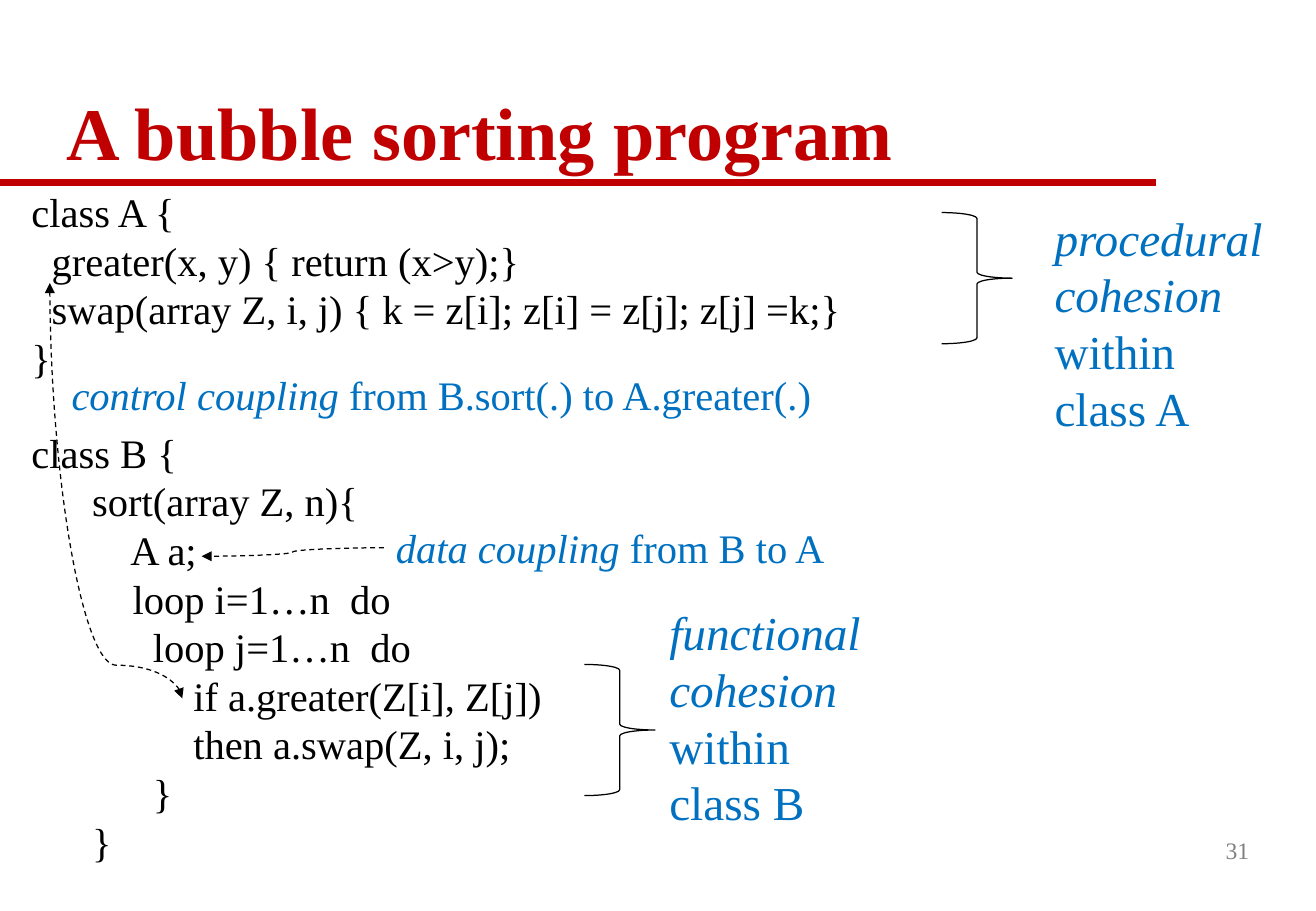
from lxml import etree
from pptx import Presentation
from pptx.dml.color import RGBColor
from pptx.enum import dml, shapes, text
from pptx.oxml import ns
from pptx.util import Inches, Pt

RED = RGBColor(0xC0, 0, 0)
BLUE = RGBColor(0, 0x70, 0xC0)
BLACK = RGBColor(0, 0, 0)
GRAY = RGBColor(0x80, 0x80, 0x80)
FACE = "Times New Roman"

TITLE = "A bubble sorting program"
# Each class: lines of (indent in inches, code)
CODE = [
    [
        (0, "class A {"),
        (0, "  greater(x, y) { return (x>y);}"),
        (0, "  swap(array Z, i, j) { k = z[i]; z[i] = z[j]; z[j] =k;}"),
        (0, "}"),
    ],
    [
        (0, "class B {"),
        (0.5, "sort(array Z, n){"),
        (0.5, "    A a;"),
        (0.5, "    loop i=1…n  do"),
        (1, "loop j=1…n  do"),
        (0.5, "          if a.greater(Z[i], Z[j])"),
        (0.5, "          then a.swap(Z, i, j);"),
        (0.5, "      }"),
        (0.5, "}"),
    ],
]
# Italic term, plain rest, size, box
NOTES = [
    ("procedural cohesion ", "within class A", 28, (8.58, 1.67, 1.92, 1.99)),
    ("functional cohesion ", "within class B", 28, (5.41, 4.92, 1.92, 1.99)),
    ("control coupling ", "from B.sort(.) to A.greater(.)", 24, (0.49, 3, 6.35, 0.5)),
    ("data coupling ", "from B to A", 24, (3.16, 4.26, 3.83, 0.5)),
]
BRACES = [(7.75, 1.75), (4.81, 5.47)]
CALL, GREATER = (1.5, 5.75), (0.41, 2.33)
LABEL, FIELD = (3.16, 4.51), (1.66, 4.58)


def style(para, size, color):
    para.font.name = FACE
    para.font.size = Pt(size)
    para.font.color.rgb = color


def add_box(slide, box):
    frame = slide.shapes.add_textbox(*map(Inches, box)).text_frame
    frame.word_wrap = True
    return frame


def add_line(slide, kind, start, end, color, width):
    line = slide.shapes.add_connector(kind, *map(Inches, start + end))
    line.line.color.rgb = color
    line.line.width = Pt(width)
    etree.SubElement(line._element.spPr, ns.qn("a:effectLst"))
    return line


def add_curve(slide, start, end, ends):
    """Dashed curve with arrowheads at the given ends."""
    curve = add_line(slide, shapes.MSO_CONNECTOR.CURVE, start, end, BLACK, 0.75)
    curve.line.dash_style = dml.MSO_LINE.DASH
    for tag in ends:
        etree.SubElement(curve.line._get_or_add_ln(), ns.qn(tag), type="triangle")
    return curve


def add_upright(slide, start, end, bend, ends):
    """Curve that leaves and arrives vertically: a level one turned by 270 degrees."""
    (x1, y1), (x2, y2) = start, end
    midx, midy = (x1 + x2) / 2, (y1 + y2) / 2
    halfw, halfh = (y1 - y2) / 2, (x1 - x2) / 2
    curve = add_curve(slide, (midx - halfw, midy + halfh),
                      (midx + halfw, midy - halfh), ends)
    props = curve._element.spPr
    props.find(ns.qn("a:xfrm")).set("rot", str(270 * 60000))
    guides = props.find(ns.qn("a:prstGeom")).find(ns.qn("a:avLst"))
    etree.SubElement(guides, ns.qn("a:gd"), name="adj1",
                     fmla=f"val {round(bend * 100000)}")


def add_code(slide):
    frame = add_box(slide, (0.16, 1.49, 7.08, 5.76))
    para = frame.paragraphs[0]
    for block, lines in enumerate(CODE):
        for row, (indent, line) in enumerate(lines):
            if block or row:
                para = frame.add_paragraph()
            para.text = line
            if indent:
                para._p.get_or_add_pPr().set("marL", str(Inches(indent)))
            if block and not row:
                para.space_before = Pt(27.6)
            style(para, 24, BLACK)


def add_note(slide, term, rest, size, box):
    para = add_box(slide, box).paragraphs[0]
    run = para.add_run()
    run.text = term
    run.font.italic = True
    para.add_run().text = rest
    style(para, size, BLUE)


def add_brace(slide, left, top):
    brace = slide.shapes.add_shape(
        shapes.MSO_SHAPE.RIGHT_BRACE, *map(Inches, (left, top, 0.58, 1.08)))
    brace.shadow.inherit = False
    brace.fill.background()
    brace.line.color.rgb = BLACK
    brace.line.width = Pt(0.75)


def main():
    deck = Presentation()
    deck.slide_width, deck.slide_height = Inches(10.83), Inches(7.5)
    slide = deck.slides.add_slide(deck.slide_layouts[5])

    title = slide.shapes.title
    title.left, title.top, title.width, title.height = map(
        Inches, (0.45, 0.29, 9.88, 1.21))
    title.text_frame.text = TITLE
    title.text_frame.vertical_anchor = text.MSO_ANCHOR.BOTTOM
    para = title.text_frame.paragraphs[0]
    para.alignment = text.PP_ALIGN.LEFT
    para.line_spacing = 0.9
    style(para, 44, RED)
    para.font.bold = True

    add_line(slide, shapes.MSO_CONNECTOR.STRAIGHT, (0, 1.5), (9.51, 1.5), RED, 4)

    number = add_box(slide, (8.12, 6.75, 2.26, 0.5))
    number.text = "31"
    number.vertical_anchor = text.MSO_ANCHOR.MIDDLE
    number.paragraphs[0].alignment = text.PP_ALIGN.RIGHT
    style(number.paragraphs[0], 14, GRAY)

    add_code(slide)
    for spot in BRACES:
        add_brace(slide, *spot)
    for note in NOTES:
        add_note(slide, *note)
    add_upright(slide, CALL, GREATER, 0.08, ("a:headEnd", "a:tailEnd"))
    add_curve(slide, LABEL, FIELD, ("a:tailEnd",))
    deck.save("out.pptx")


if __name__ == "__main__":
    main()
